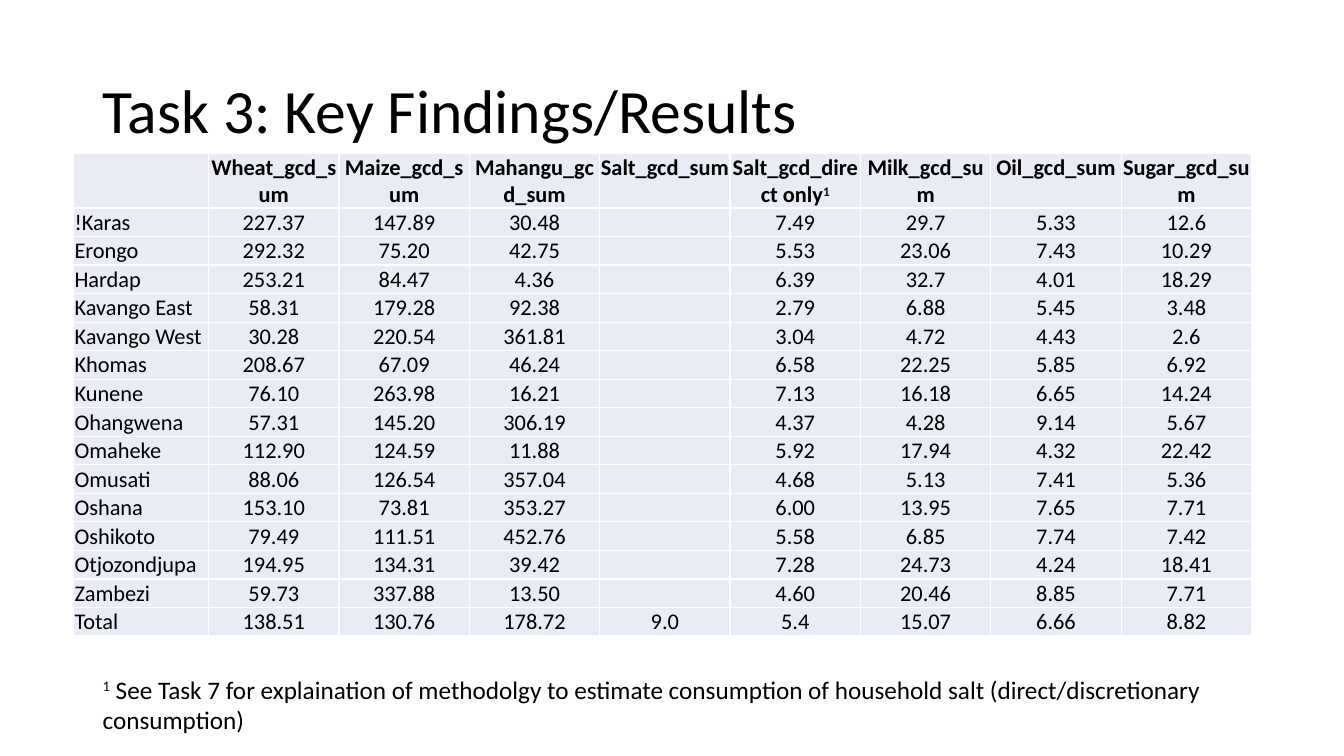
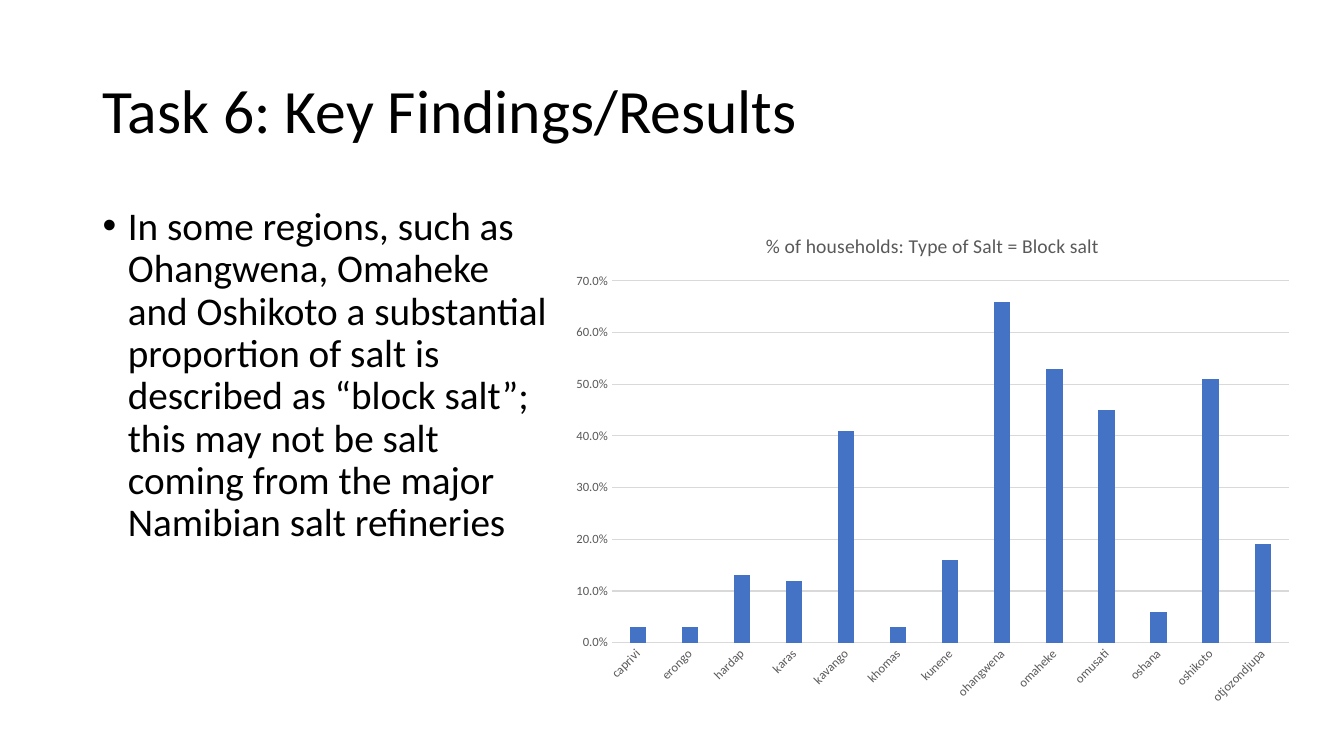
"""Build two slides of regional food and salt findings."""
from lxml.etree import SubElement
from pptx import Presentation
from pptx.chart.data import CategoryChartData
from pptx.dml.color import RGBColor
from pptx.enum.chart import XL_CHART_TYPE, XL_TICK_MARK
from pptx.enum.text import MSO_ANCHOR, PP_ALIGN
from pptx.oxml.ns import qn
from pptx.util import Pt

PX = 3048
FONT = "Calibri"
BLACK, WHITE, GREY, RULE = "000000", "FFFFFF", "595959", "D9D9D9"
BLUE, PALE = "4472C4", "E9EBF5"

TITLES = ["Task 3: Key Findings/Results", "Task 6: Key Findings/Results"]
HEADS = ["", "Wheat_gcd_sum", "Maize_gcd_sum", "Mahangu_gcd_sum", "Salt_gcd_sum",
         "Salt_gcd_direct only^1", "Milk_gcd_sum", "Oil_gcd_sum", "Sugar_gcd_sum"]
ROWS = [
    ["!Karas", "227.37", "147.89", "30.48", "", "7.49", "29.7", "5.33", "12.6"],
    ["Erongo", "292.32", "75.20", "42.75", "", "5.53", "23.06", "7.43", "10.29"],
    ["Hardap", "253.21", "84.47", "4.36", "", "6.39", "32.7", "4.01", "18.29"],
    ["Kavango East", "58.31", "179.28", "92.38", "", "2.79", "6.88", "5.45", "3.48"],
    ["Kavango West", "30.28", "220.54", "361.81", "", "3.04", "4.72", "4.43", "2.6"],
    ["Khomas", "208.67", "67.09", "46.24", "", "6.58", "22.25", "5.85", "6.92"],
    ["Kunene", "76.10", "263.98", "16.21", "", "7.13", "16.18", "6.65", "14.24"],
    ["Ohangwena", "57.31", "145.20", "306.19", "", "4.37", "4.28", "9.14", "5.67"],
    ["Omaheke", "112.90", "124.59", "11.88", "", "5.92", "17.94", "4.32", "22.42"],
    ["Omusati", "88.06", "126.54", "357.04", "", "4.68", "5.13", "7.41", "5.36"],
    ["Oshana", "153.10", "73.81", "353.27", "", "6.00", "13.95", "7.65", "7.71"],
    ["Oshikoto", "79.49", "111.51", "452.76", "", "5.58", "6.85", "7.74", "7.42"],
    ["Otjozondjupa", "194.95", "134.31", "39.42", "", "7.28", "24.73", "4.24", "18.41"],
    ["Zambezi", "59.73", "337.88", "13.50", "", "4.60", "20.46", "8.85", "7.71"],
    ["Total", "138.51", "130.76", "178.72", "9.0", "5.4", "15.07", "6.66", "8.82"],
]
NOTE = ("^1^ See Task 7 for explaination of methodolgy to estimate consumption "
        "of household salt (direct/discretionary consumption)")
POINT = ("In some regions, such as Ohangwena, Omaheke and Oshikoto a substantial "
         "proportion of salt is described as “block salt”; this may not be salt "
         "coming from the major Namibian salt refineries")
HEADING = "% of households: Type of Salt = Block salt"
SHARES = {"caprivi": 0.03, "erongo": 0.03, "hardap": 0.13, "karas": 0.12,
          "kavango": 0.41, "khomas": 0.03, "kunene": 0.16, "ohangwena": 0.66,
          "omaheke": 0.53, "omusati": 0.45, "oshana": 0.06, "oshikoto": 0.51,
          "otjozondjupa": 0.19}
CHART = (1671, 636, 2211, 1494)


def tint(code):
    """Turn a hex string into a colour."""
    return RGBColor.from_string(code)


def apply(item, **form):
    """Set each named attribute of an object."""
    for name, value in form.items():
        setattr(item, name, value)


def style(font, size, code=BLACK, bold=False):
    """Format a font."""
    apply(font, name=FONT, size=Pt(size), bold=bold)
    font.color.rgb = tint(code)


def write(para, text, size, bold=False):
    """Add runs, raising the parts between carets."""
    for i, part in enumerate(text.split("^")):
        if part:
            run = para.add_run()
            run.text = part
            style(run.font, size, bold=bold)
            if i % 2:
                run._r.get_or_add_rPr().set("baseline", "30000")


def label(slide, box, text, size, **form):
    """Add a wrapped text box and return its paragraph."""
    frame = slide.shapes.add_textbox(*[v * PX for v in box]).text_frame
    apply(frame, word_wrap=True, **form)
    para = frame.paragraphs[0]
    write(para, text, size)
    return para


def page(deck, title):
    """Add a slide with the shared title."""
    slide = deck.slides.add_slide(deck.slide_layouts[6])
    para = label(slide, (276, 120, 3450, 435), title, 44,
                 vertical_anchor=MSO_ANCHOR.MIDDLE)
    para.line_spacing = 0.9
    return slide


def fill(cell, text, head, first):
    """Format one table cell."""
    edge = 3 * PX
    apply(cell, margin_left=edge, margin_top=edge, margin_right=edge,
          margin_bottom=0)
    props = cell._tc.get_or_add_tcPr()
    for side in ("lnL", "lnR", "lnT", "lnB"):
        line = SubElement(props, qn("a:" + side), w=str(Pt(1)))
        SubElement(SubElement(line, qn("a:solidFill")), qn("a:srgbClr"), val=WHITE)
    cell.fill.solid()
    cell.fill.fore_color.rgb = tint(PALE)
    para = cell.text_frame.paragraphs[0]
    para.alignment = PP_ALIGN.LEFT if first else PP_ALIGN.CENTER
    write(para, text, 16, head)
    if not text:
        SubElement(para._p, qn("a:endParaRPr"), sz="1600")


def grid(slide):
    """Add the consumption table."""
    data = [HEADS] + ROWS
    wide = [402] + [388] * (len(HEADS) - 1)
    tall = 85
    box = (219, 456, sum(wide), tall * len(data))
    table = slide.shapes.add_table(len(data), len(HEADS),
                                   *[v * PX for v in box]).table
    apply(table, first_row=False, horz_banding=False)
    for col, width in zip(table.columns, wide):
        col.width = width * PX
    for r, row in enumerate(data):
        table.rows[r].height = tall * PX
        for c, text in enumerate(row):
            fill(table.cell(r, c), text, r == 0, c == 0)


def place(node, index, **spot):
    """Place a chart part, given in px from the chart's corner."""
    for old in node.findall(qn("c:layout")):
        node.remove(old)
    layout = SubElement(node, qn("c:layout"))
    node.insert(index, layout)
    manual = SubElement(layout, qn("c:manualLayout"))
    if "w" in spot:
        SubElement(manual, qn("c:layoutTarget"), val="inner")
    for mode in ("xMode", "yMode"):
        SubElement(manual, qn("c:" + mode), val="edge")
    for name, value in spot.items():
        full = CHART[2] if name in "xw" else CHART[3]
        SubElement(manual, qn("c:" + name), val=str(round(value / full, 4)))


def bars(slide):
    """Add the block salt chart."""
    data = CategoryChartData(number_format="0.0%")
    data.categories = list(SHARES)
    data.add_series("Series 1", list(SHARES.values()))
    chart = slide.shapes.add_chart(XL_CHART_TYPE.COLUMN_CLUSTERED,
                                   *[v * PX for v in CHART], data).chart
    chart.has_legend = False
    style(chart.font, 10)
    para = chart.chart_title.text_frame.paragraphs[0]
    run = para.add_run()
    run.text = HEADING
    style(run.font, 14, GREY)
    place(chart.chart_title._element, 1, x=598, y=45)
    place(chart._chartSpace.chart.plotArea, 0, x=150, y=200, w=2015, h=1077)

    plot = chart.plots[0]
    apply(plot, gap_width=219, overlap=-27, vary_by_categories=False)
    shade = plot.series[0].format.fill
    shade.solid()
    shade.fore_color.rgb = tint(BLUE)

    base, scale = chart.category_axis, chart.value_axis
    for axis in (base, scale):
        apply(axis, major_tick_mark=XL_TICK_MARK.NONE,
              minor_tick_mark=XL_TICK_MARK.NONE)
        style(axis.tick_labels.font, 9, GREY)
    base._element.txPr.find(qn("a:bodyPr")).set("rot", "-2700000")
    apply(scale, minimum_scale=0, maximum_scale=0.7, major_unit=0.1,
          has_major_gridlines=True)
    apply(scale.tick_labels, number_format="0.0%", number_format_is_linked=False)
    scale.format.line.fill.background()
    for line in (base.format.line, scale.major_gridlines.format.line):
        line.width = Pt(0.75)
        line.color.rgb = tint(RULE)


def main():
    """Build and save the deck."""
    deck = Presentation()
    apply(deck, slide_width=4000 * PX, slide_height=2250 * PX)
    food, salt = [page(deck, title) for title in TITLES]
    grid(food)
    label(food, (276, 1992, 3450, 213), NOTE, 18)
    para = label(salt, (276, 600, 1395, 1428), POINT, 28)
    para.line_spacing = 0.9
    props = para._p.get_or_add_pPr()
    for name, value in {"marL": 75 * PX, "indent": -75 * PX}.items():
        props.set(name, str(value))
    SubElement(props, qn("a:buFont"), typeface="Arial")
    SubElement(props, qn("a:buChar"), char="•")
    bars(salt)
    deck.save("out.pptx")


if __name__ == "__main__":
    main()
